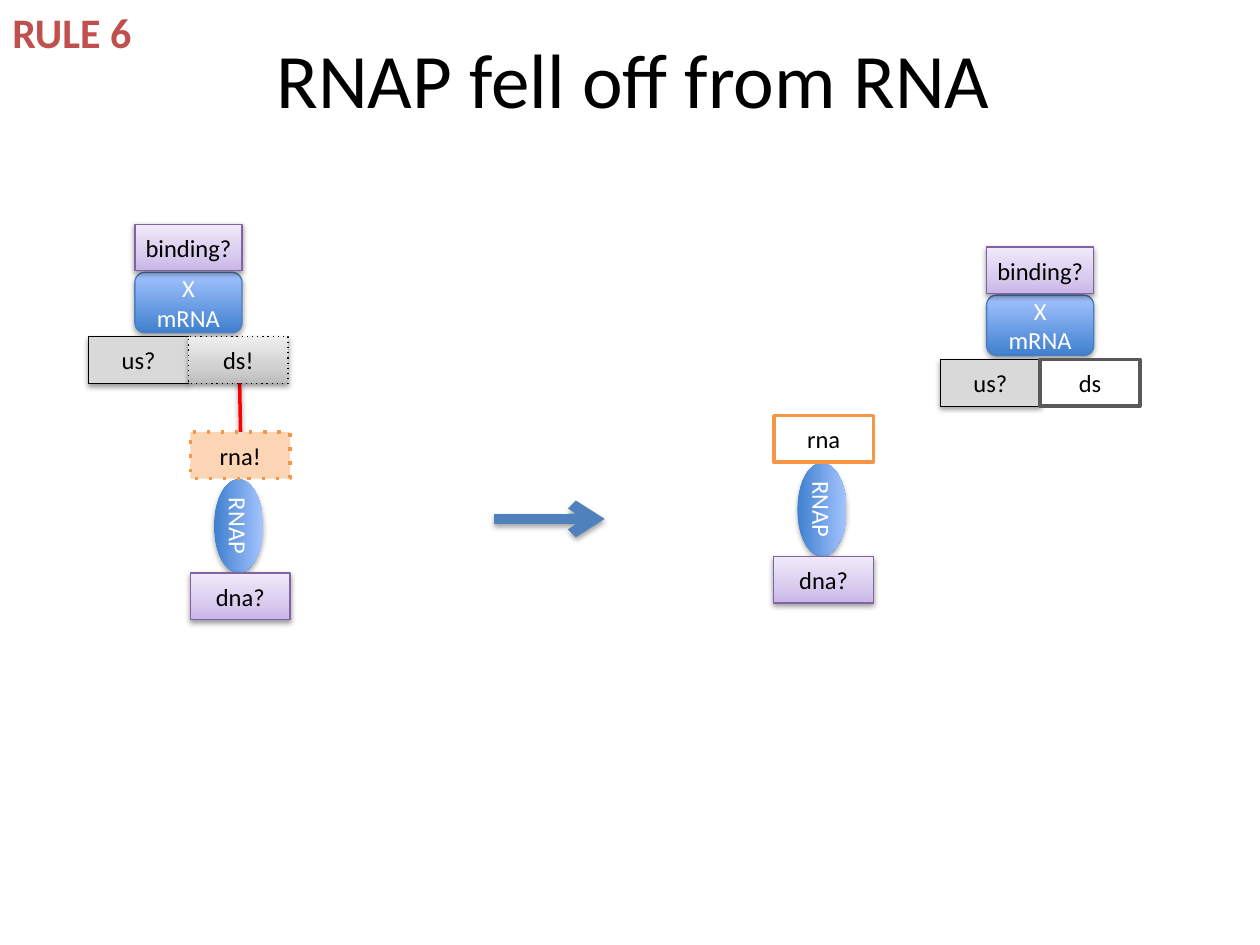
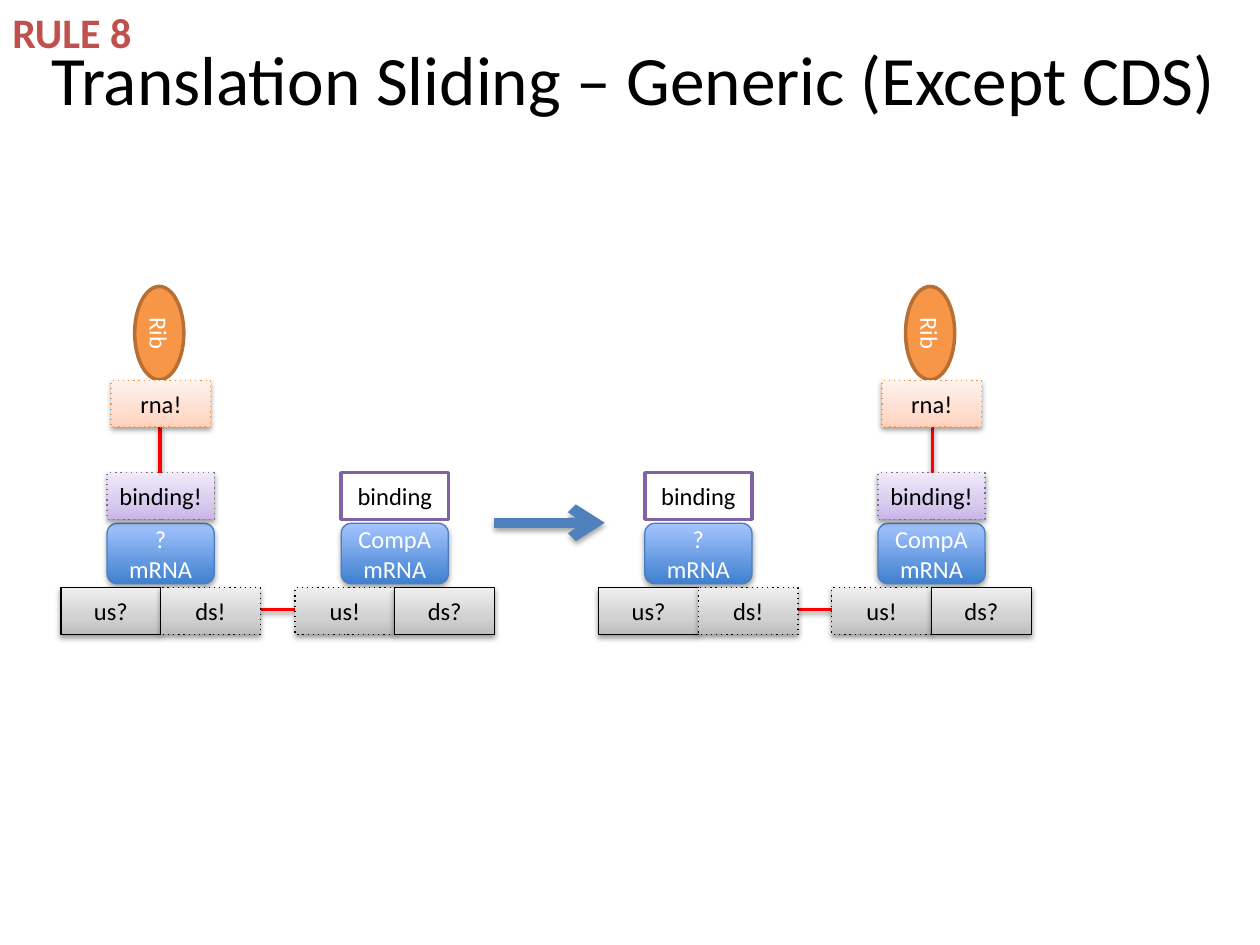
from dataclasses import dataclass

from lxml.etree import SubElement
from pptx import Presentation
from pptx.dml.color import RGBColor
from pptx.enum.shapes import MSO_CONNECTOR as Connector, MSO_SHAPE as Preset
from pptx.enum.text import MSO_ANCHOR as Anchor, MSO_AUTO_SIZE as AutoSize, PP_ALIGN as Align
from pptx.oxml.ns import qn
from pptx.util import Cm, Pt


@dataclass(frozen=True)
class Theme:
    font: str = "Calibri"
    label_size: float = 14
    rule_size: float = 24
    black: str = "000000"
    white: str = "FFFFFF"
    rule: str = "C0504D"
    arrow: str = "4F81BD"
    bond: str = "FF0000"
    blue_line: str = "4B7EBC"
    purple_line: str = "8064A2"
    orange: str = "F79646"
    brown: str = "B76F34"
    pale_orange: str = "FCD5B5"
    pale_grey: str = "D9D9D9"
    dark_grey: str = "595959"
    # Gradients run from bottom to top: (percent, colour)
    blue: tuple = ((0, "3F80CE"), (100, "A4C4FF"))
    grey: tuple = ((0, "BDBDBD"), (35, "D1D1D1"), (100, "EEEEEE"))
    purple: tuple = ((0, "C9B5E8"), (35, "D8CBEE"), (100, "F0EAF9"))
    peach: tuple = ((0, "FFD2BD"), (35, "FFDED0"), (100, "FFF2ED"))
    # Shadows: opacity in percent, distance in points
    deep: tuple = (35, 1.8)
    soft: tuple = (38, 1.6)


theme = Theme()


def write_text(frame, text, size=theme.label_size, colour=theme.black, bold=False,
               align=Align.CENTER, anchor=Anchor.MIDDLE, wrap=True, insets=None):
    frame.auto_size = AutoSize.NONE
    frame.word_wrap = wrap
    frame.vertical_anchor = anchor
    if insets:
        frame.margin_left = frame.margin_right = Cm(insets[0])
        frame.margin_top = frame.margin_bottom = Cm(insets[1])
    for index, line in enumerate(text.split("\n")):
        para = frame.add_paragraph() if index else frame.paragraphs[0]
        para.alignment = align
        span = para.add_run()
        span.text = line
        span.font.name, span.font.size, span.font.bold = theme.font, Pt(size), bold
        span.font.color.rgb = RGBColor.from_string(colour)


def finish(item, colour, width, shadow, dotted=False, arrow=False):
    """Set the outline and shadow of a shape or connector."""
    if colour:
        item.line.color.rgb = RGBColor.from_string(colour)
        item.line.width = Pt(width)
        outline = item._element.spPr.find(qn("a:ln"))
        if dotted:
            SubElement(outline, qn("a:prstDash"), val="dot")
        if arrow:
            SubElement(outline, qn("a:tailEnd"), type="arrow")
    else:
        item.line.fill.background()
    effects = SubElement(item._element.spPr, qn("a:effectLst"))
    if shadow:
        opacity, distance = shadow
        cast = SubElement(effects, qn("a:outerShdw"), blurRad=str(Pt(3.1)), dist=str(Pt(distance)),
                          dir="5400000", rotWithShape="0")
        tint = SubElement(cast, qn("a:srgbClr"), val=theme.black)
        SubElement(tint, qn("a:alpha"), val=str(opacity * 1000))


# Part sizes: preset, width, height, rotation, insets, text colour
body = (Preset.ROUNDED_RECTANGLE, 2.16, 1.22, 0, (0.1, 0.13), theme.white)
domain = (Preset.RECTANGLE, 2.16, 0.94, 0, (0.1, 0.13), theme.black)
site = (Preset.RECTANGLE, 2.01, 0.94, 0, (0.1, 0.13), theme.black)
enzyme = (Preset.OVAL, 1.88, 0.99, 90, (0.05, 0.13), theme.white)

# Part styles: form, fill, line colour, line width, shadow, dotted
styles = {
    "mrna": (body, theme.blue, theme.blue_line, 0.75, theme.deep, False),
    "any binding": (domain, theme.purple, theme.purple_line, 0.75, theme.soft, False),
    "bound binding": (domain, theme.purple, theme.purple_line, 0.75, theme.soft, True),
    "free binding": (domain, theme.white, theme.purple_line, 2, None, False),
    "flat site": (site, theme.pale_grey, theme.black, 0.75, theme.soft, False),
    "any site": (site, theme.grey, theme.black, 0.75, theme.soft, False),
    "bound site": (site, theme.grey, theme.black, 0.75, theme.soft, True),
    "free site": (site, theme.white, theme.dark_grey, 2, None, False),
    "dna": (site, theme.purple, theme.purple_line, 0.75, theme.soft, False),
    "bound rna": (site, theme.pale_orange, theme.orange, 2, None, True),
    "free rna": (site, theme.white, theme.orange, 2, None, False),
    "ribosome rna": (site, theme.peach, theme.orange, 0.75, theme.soft, True),
    "polymerase": (enzyme, theme.blue, None, 0, theme.deep, False),
    "ribosome": (enzyme, theme.orange, theme.brown, 2, None, False),
}

us_any, ds_any = ("any site", "us?"), ("any site", "ds?")
us_bound, ds_bound = ("bound site", "us!"), ("bound site", "ds!")
us_flat = ("flat site", "us?")
any_binding = ("any binding", "binding?")
bound_binding = ("bound binding", "binding!")
free_binding = ("free binding", "binding")

# Units are placed by the corner of their binding or rna box
slides = [
    dict(
        rule="RULE 6", title="RNAP fell off from RNA", title_size=44, arrow_y=10.46, gap=0.03,
        bonds=[(4.85, 8.71, 4.83, 7.7)],
        mrnas=[(2.72, 4.52, "X", any_binding, us_flat, ds_bound),
               (19.89, 4.98, "X", any_binding, us_flat, ("free site", "ds"))],
        polymerases=[(3.84, 8.71, "bound rna", "rna!"), (15.6, 8.38, "free rna", "rna")],
        ribosomes=[],
    ),
    dict(
        rule="RULE 8", title="Translation Sliding – Generic (Except CDS)", title_size=39.6,
        arrow_y=10.54, gap=0.08,
        bonds=[(3.23, 8.61, 3.23, 9.53), (18.8, 8.61, 18.8, 9.53),
               (5.26, 12.29, 5.94, 12.29), (16.08, 12.29, 16.79, 12.29)],
        mrnas=[(2.16, 9.53, "?", bound_binding, us_any, ds_bound),
               (6.88, 9.53, "CompA", free_binding, us_bound, ds_any),
               (13, 9.53, "?", free_binding, us_any, ds_bound),
               (17.7, 9.53, "CompA", bound_binding, us_bound, ds_any)],
        polymerases=[],
        ribosomes=[(2.24, 7.67), (17.78, 7.67)],
    ),
]

deck = Presentation()
deck.slide_width, deck.slide_height = Cm(25.4), Cm(19.05)

for content in slides:
    page = deck.slides.add_slide(deck.slide_layouts[5])

    # Title
    title = page.shapes.title
    title.left, title.top, title.width, title.height = Cm(0.15), Cm(-0.03), Cm(25.25), Cm(3.18)
    write_text(title.text_frame, content["title"], size=content["title_size"])

    # Reaction arrow and bonds
    y = content["arrow_y"]
    lines = [((9.96, y, 12.19, y), theme.arrow, 6, theme.deep, True)]
    lines += [(ends, theme.bond, 2, theme.soft, False) for ends in content["bonds"]]
    for ends, colour, width, shadow, arrow in lines:
        connector = page.shapes.add_connector(Connector.STRAIGHT, *map(Cm, ends))
        finish(connector, colour, width, shadow, arrow=arrow)

    # Parts of each molecule: style, text, left, top
    parts = []
    for x, y, name, binding, upstream, downstream in content["mrnas"]:
        body_y = y + 0.94 + content["gap"]
        parts += [("mrna", f"{name}\nmRNA", x, body_y),
                  (*upstream, x - 0.93, body_y + 1.3),
                  (*downstream, x + 1.08, body_y + 1.3),
                  (*binding, x, y)]
    for x, y, rna_style, rna_text in content["polymerases"]:
        parts += [("polymerase", "RNAP", x + 0.03, y + 1.4),
                  ("dna", "dna?", x, y + 2.84),
                  (rna_style, rna_text, x, y)]
    for x, y in content["ribosomes"]:
        parts += [("ribosome", "Rib", x + 0.03, y - 1.45),
                  ("ribosome rna", "rna!", x, y)]

    for style, text, x, y in parts:
        form, fill, line_colour, line_width, shadow, dotted = styles[style]
        preset, width, height, rotation, insets, text_colour = form
        shape = page.shapes.add_shape(preset, Cm(x), Cm(y), Cm(width), Cm(height))
        shape.rotation = rotation
        if isinstance(fill, str):
            shape.fill.solid()
            shape.fill.fore_color.rgb = RGBColor.from_string(fill)
        else:
            gradient = SubElement(shape._element.spPr, qn("a:gradFill"), rotWithShape="1")
            stops = SubElement(gradient, qn("a:gsLst"))
            for percent, colour in fill:
                stop = SubElement(stops, qn("a:gs"), pos=str(percent * 1000))
                SubElement(stop, qn("a:srgbClr"), val=colour)
            SubElement(gradient, qn("a:lin"), ang="16200000", scaled="0")
        finish(shape, line_colour, line_width, shadow, dotted)
        write_text(shape.text_frame, text, colour=text_colour, insets=insets,
                   wrap=style != "mrna")

    # Rule number
    box = page.shapes.add_textbox(0, 0, Cm(2.95), Cm(1.27))
    write_text(box.text_frame, content["rule"], size=theme.rule_size, colour=theme.rule,
               bold=True, align=Align.LEFT, anchor=Anchor.TOP, wrap=False)

deck.save("out.pptx")
